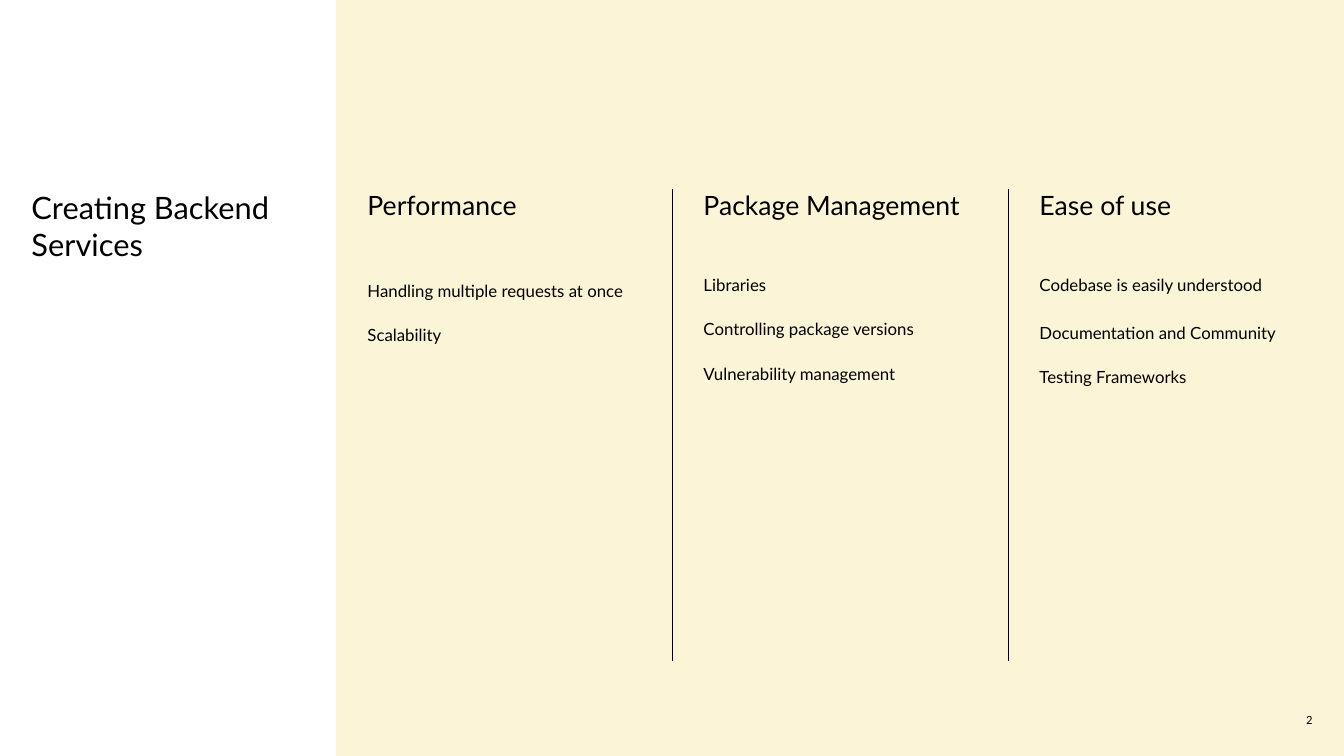
from lxml.etree import SubElement
from pptx import Presentation
from pptx.dml.color import RGBColor
from pptx.enum.shapes import MSO_CONNECTOR as Connector, MSO_SHAPE as Shape
from pptx.enum.text import MSO_ANCHOR as Anchor, PP_ALIGN as Align
from pptx.oxml.ns import qn
from pptx.util import Inches, Pt

COLORS = {"panel": "FCF4D6", "ink": "000000"}
WIDTH, HEIGHT = 26.67, 15
COLUMN = WIDTH / 4
MARGIN = 0.625
TOP, BOTTOM = 3.75, 13.12

# Heading, then each item with the space before it in points
TOPICS = [
    ("Performance", [("Handling multiple requests at once", 82.6), ("Scalability", 31.7)]),
    ("Package Management", [("Libraries", 74), ("Controlling package versions", 31.7),
                            ("Vulnerability management", 31.7)]),
    ("Ease of use", [("Codebase is easily understood", 74),
                     ("Documentation and Community", 37), ("Testing Frameworks", 31.7)]),
]


def add_text_frame(left, top, width, height, wrap=True):
    """Add a text box without insets and return its text frame."""
    box = slide.shapes.add_textbox(Inches(left), Inches(top), Inches(width), Inches(height))
    frame = box.text_frame
    settings = {"word_wrap": wrap, "margin_left": 0, "margin_right": 0,
                "margin_top": 0, "margin_bottom": 0}
    for name, value in settings.items():
        setattr(frame, name, value)
    return frame


def write(paragraph, text, size, **paragraph_format):
    run = paragraph.add_run()
    run.text = text
    run.font.name = "Lato"
    run.font.size = Pt(size)
    run.font.color.rgb = RGBColor.from_string(COLORS["ink"])
    for name, value in paragraph_format.items():
        setattr(paragraph, name, value)


presentation = Presentation()
presentation.slide_width = Inches(WIDTH)
presentation.slide_height = Inches(HEIGHT)
slide = presentation.slides.add_slide(presentation.slide_layouts[6])

panel = slide.shapes.add_shape(Shape.RECTANGLE, Inches(COLUMN), 0,
                               Inches(3 * COLUMN), Inches(HEIGHT))
panel.shadow.inherit = False
panel.fill.solid()
panel.fill.fore_color.rgb = RGBColor.from_string(COLORS["panel"])
panel.line.fill.background()

text_width = COLUMN - 2 * MARGIN
title = add_text_frame(MARGIN, TOP, text_width, BOTTOM - TOP)
write(title.paragraphs[0], "Creating Backend Services", 44)

for column, (heading, items) in enumerate(TOPICS, start=1):
    frame = add_text_frame(column * COLUMN + MARGIN, TOP, text_width, BOTTOM - TOP)
    write(frame.paragraphs[0], heading, 38)
    for item, gap in items:
        write(frame.add_paragraph(), item, 24, line_spacing=1.1, space_before=Pt(gap))

page_number = add_text_frame(25.75, 14.15, 0.3, 0.27, wrap=False)
page_number.vertical_anchor = Anchor.MIDDLE
write(page_number.paragraphs[0], "2", 16, alignment=Align.RIGHT)

for column in (2, 3):
    x = Inches(column * COLUMN)
    divider = slide.shapes.add_connector(Connector.STRAIGHT, x, Inches(BOTTOM), x, Inches(TOP))
    divider.line.color.rgb = RGBColor.from_string(COLORS["ink"])
    divider.line.width = Pt(1)
    SubElement(divider._element.spPr, qn("a:effectLst"))

presentation.save("out.pptx")
